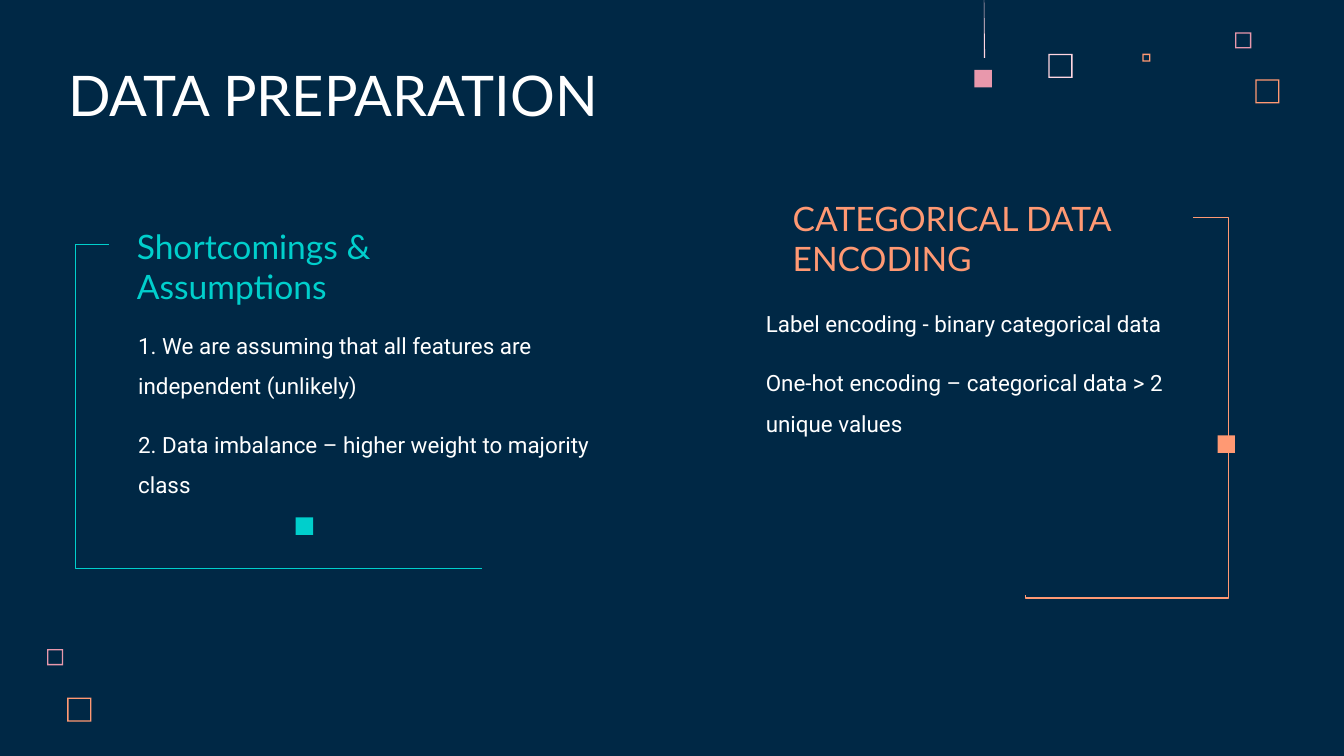
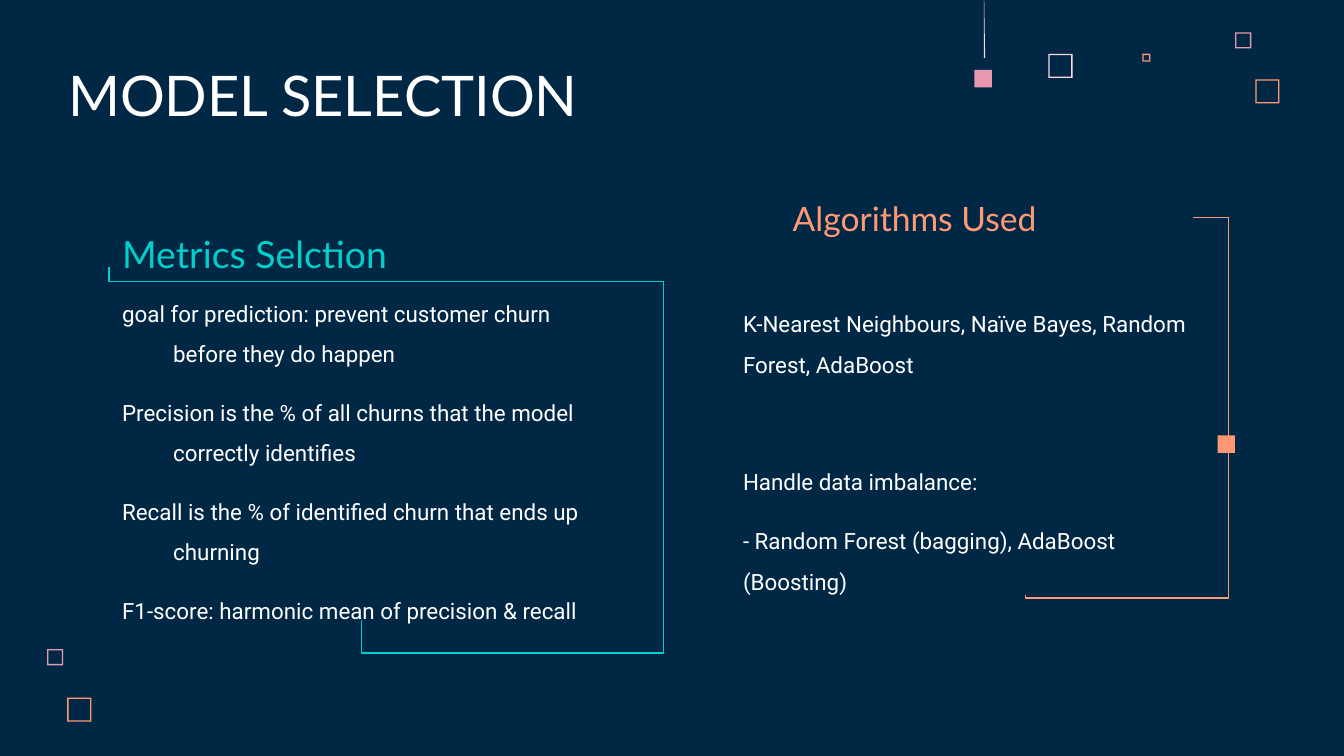
from lxml import etree
from pptx import Presentation
from pptx import util as u
from pptx.dml.color import RGBColor
from pptx.enum import shapes, text
from pptx.oxml.ns import qn

NAVY = RGBColor(0x00, 0x28, 0x45)
WHITE = RGBColor(0xFF, 0xFF, 0xFF)
BLUSH = RGBColor(0xFF, 0xD6, 0xE1)
PINK = RGBColor(0xE8, 0x98, 0xAC)
CORAL = RGBColor(0xFF, 0x99, 0x73)
TEAL = RGBColor(0x00, 0xCF, 0xCC)

HEAD_FONT, BODY_FONT = "Lato", "Roboto"
FRAME_EDGE = 0.01
MARKER = 0.13
FRAMES = [
    (7.8, 0.4, 0.18, BLUSH),
    (9.19, 0.24, 0.12, PINK),
    (8.5, 0.4, 0.06, CORAL),
    (9.34, 0.59, 0.18, CORAL),
    (0.35, 4.83, 0.12, PINK),
    (0.5, 5.19, 0.18, CORAL),
]


class Deck:
    """Holds the deck style and draws on the current slide."""

    def __init__(self):
        self.prs = Presentation()
        self.prs.slide_width = u.Inches(10)
        self.prs.slide_height = u.Inches(10) * 9 // 16
        self.s = None

    def slide(self, title):
        """Start a slide with its background, ornaments and title."""
        self.s = self.prs.slides.add_slide(self.prs.slide_layouts[6])
        fill = self.s.background.fill
        fill.solid()
        fill.fore_color.rgb = NAVY
        for x, y, size, color in FRAMES:
            self.frame(x, y, size, color)
        self.marker(7.25, 0.52, PINK)
        self.sliver([(7.32, -0.18), (7.32, 0.43), (7.33, 0.43)], BLUSH)
        self.heading(title, 0.41, 0.42, 6.73, 0.63, WHITE, 30,
                     text.MSO_ANCHOR.BOTTOM)

    def paint(self, sp, color):
        """Give a shape a plain fill without line or shadow."""
        sp.shadow.inherit = False
        sp.fill.solid()
        sp.fill.fore_color.rgb = color
        sp.line.fill.background()

    def square(self, kind, x, y, size, color):
        """Draw a square preset shape."""
        sp = self.s.shapes.add_shape(kind, u.Inches(x), u.Inches(y),
                                     u.Inches(size), u.Inches(size))
        self.paint(sp, color)
        return sp

    def frame(self, x, y, size, color):
        """Draw a hollow square."""
        sp = self.square(shapes.MSO_SHAPE.FRAME, x, y, size, color)
        sp.adjustments[0] = FRAME_EDGE / size

    def marker(self, x, y, color):
        """Draw a small solid square."""
        self.square(shapes.MSO_SHAPE.RECTANGLE, x, y, MARKER, color)

    def sliver(self, points, color):
        """Draw a filled polygon."""
        start, *rest = [(u.Inches(x), u.Inches(y)) for x, y in points]
        builder = self.s.shapes.build_freeform(*start)
        builder.add_line_segments(rest)
        self.paint(builder.convert_to_shape(), color)

    def elbow(self, begin, end, color, adjusts, turned=False):
        """Draw a bent connector, leaving vertically when turned."""
        (x1, y1), (x2, y2) = begin, end
        if turned:
            cx, cy = (x1 + x2) / 2, (y1 + y2) / 2
            half_w, half_h = (y2 - y1) / 2, (x2 - x1) / 2
            x1, y1 = cx + half_w, cy - half_h
            x2, y2 = cx - half_w, cy + half_h
        c = self.s.shapes.add_connector(
            shapes.MSO_CONNECTOR.ELBOW, u.Inches(x1), u.Inches(y1),
            u.Inches(x2), u.Inches(y2))
        c.line.color.rgb = color
        c.line.width = u.Pt(0.75)
        props = c._element.spPr
        if turned:
            props.find(qn("a:xfrm")).set("rot", str(270 * 60000))
        geom = props.find(qn("a:prstGeom"))
        geom.set("prst", f"bentConnector{len(adjusts) + 2}")
        guides = geom.find(qn("a:avLst"))
        if guides is None:
            guides = etree.SubElement(geom, qn("a:avLst"))
        for i, value in enumerate(adjusts, 1):
            name = "adj" if len(adjusts) == 1 else f"adj{i}"
            name = "adj1" if name == "adj" else name
            etree.SubElement(guides, qn("a:gd"), name=name,
                             fmla=f"val {round(value * 100000)}")
        etree.SubElement(props, qn("a:effectLst"))

    def textbox(self, lines, x, y, w, h, font, size, color,
                anchor=text.MSO_ANCHOR.TOP):
        """Write paragraphs in a wrapping box and return them."""
        sp = self.s.shapes.add_textbox(u.Inches(x), u.Inches(y),
                                       u.Inches(w), u.Inches(h))
        tf = sp.text_frame
        tf.word_wrap = True
        tf.vertical_anchor = anchor
        tf.margin_left = tf.margin_right = u.Inches(0.1)
        tf.margin_top = tf.margin_bottom = u.Inches(0.1)
        tf.text = "\n".join(lines)
        for p in tf.paragraphs:
            p.font.name = font
            p.font.size = u.Pt(size)
            p.font.color.rgb = color
        return tf.paragraphs

    def heading(self, line, x, y, w, h, color, size=18,
                anchor=text.MSO_ANCHOR.TOP):
        """Write a one-paragraph heading."""
        self.textbox([line], x, y, w, h, HEAD_FONT, size, color, anchor)

    def body(self, lines, x, y, w, h, margin=0.12, indent=0):
        """Write spaced body paragraphs and return them."""
        paragraphs = self.textbox(lines, x, y, w, h, BODY_FONT, 12, WHITE)
        for p in paragraphs:
            p.line_spacing = 1.5
            p.space_after = u.Pt(10)
            pr = p._p.get_or_add_pPr()
            pr.set("marL", str(u.Inches(margin)))
            pr.set("indent", str(u.Inches(indent)))
        return paragraphs

    def right_panel(self, title, lines, x, w):
        """Draw the coral bracket with its heading and body."""
        self.elbow((8.88, 1.62), (7.63, 4.43), CORAL, [-0.208, 1.007])
        self.marker(9.06, 3.24, CORAL)
        self.heading(title, 5.8, 1.37, 3.08, 0.43, CORAL)
        return self.body(lines, x, 2.11, w, 2.41)


def main():
    deck = Deck()

    deck.slide("DATA PREPARATION")
    deck.body([
        "1. We are assuming that all features are independent (unlikely)",
        "2. Data imbalance – higher weight to majority class",
    ], 0.81, 2.27, 3.99, 2.41)
    deck.elbow((0.81, 1.82), (3.59, 4.23), TEAL, [-0.09])
    deck.marker(2.2, 3.85, TEAL)
    deck.heading("Shortcomings & Assumptions", 0.92, 1.58, 3.13, 0.43, TEAL)
    deck.right_panel("CATEGORICAL DATA ENCODING", [
        "Label encoding - binary categorical data",
        "One-hot encoding – categorical data > 2 unique values",
    ], 5.48, 3.54)

    deck.slide("MODEL SELECTION")
    deck.body([
        "goal for prediction: prevent customer churn before they do happen",
        "Precision is the % of all churns that the model correctly identifies",
        "Recall is the % of identified churn that ends up churning",
        "F1-score: harmonic mean of precision & recall",
    ], 0.69, 2.03, 3.99, 2.26, margin=0.5, indent=-0.38)
    deck.elbow((0.81, 1.99), (2.69, 4.61), TEAL, [0.04, 2.194, 1.095],
               turned=True)
    deck.heading("Metrics Selction", 0.81, 1.62, 3.13, 0.43, TEAL, 20)
    algorithms, *_ = deck.right_panel("Algorithms Used", [
        "K-Nearest Neighbours, Naïve Bayes, Random Forest, AdaBoost",
        "Handle data imbalance:",
        "- Random Forest (bagging), AdaBoost (Boosting)",
    ], 5.31, 3.72)
    algorithms.space_after = u.Pt(41.5)

    deck.prs.save("out.pptx")


if __name__ == "__main__":
    main()
